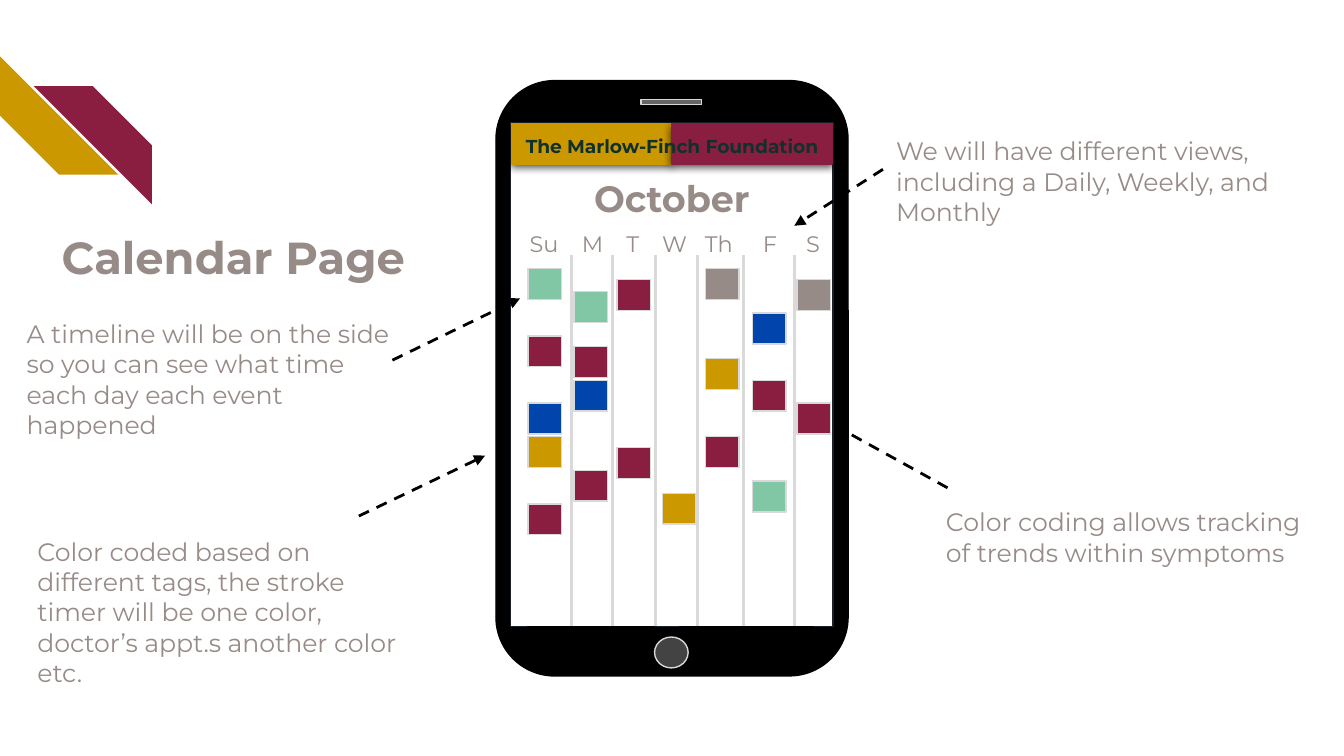
from typing import NamedTuple

from lxml import etree
from pptx import Presentation
from pptx import util as u
from pptx.dml.color import RGBColor
from pptx.enum import dml, shapes, text
from pptx.oxml.ns import qn

PX = 9144  # 100 px to the inch
FONT = "Montserrat"
COLORS = {
    "black": "000000", "white": "FFFFFF", "ink": "1B212C", "grey": "D9D9D9",
    "speaker": "666666", "button": "434343", "taupe": "978B87", "pine": "10312B",
    "gold": "CC9800", "wine": "8A1E41", "mint": "82C7A5", "blue": "0145AC",
}
FORMATS = {
    "title": {"size": u.Pt(24), "bold": True},
    "month": {"size": u.Pt(19.6), "bold": True},
    "days": {"size": u.Pt(12), "bold": False},
    "note": {"size": u.Pt(13.5), "bold": False},
    "brand": {"size": u.Pt(10), "bold": True},
}
# Day, label centre, event left, and events as (time slot, colour)
WEEK = [
    ("Su", 36, 24, [(0, "mint"), (6, "wine"), (12, "blue"), (15, "gold"), (21, "wine")]),
    ("M", 72, 58, [(2, "mint"), (7, "wine"), (10, "blue"), (18, "wine")]),
    ("T", 102, 90, [(1, "wine"), (16, "wine")]),
    ("W", 133, 124, [(20, "gold")]),
    ("Th", 166, 156, [(0, "taupe"), (8, "gold"), (15, "wine")]),
    ("F", 204, 191, [(4, "blue"), (10, "wine"), (19, "mint")]),
    ("S", 236, 224, [(1, "taupe"), (12, "wine")]),
]
DIVIDERS = [56, 87, 119, 150, 184, 222]
SLOT = 25 / 3
# Wording, text box, arrow start, arrow end
NOTES = [
    ("A timeline will be on the side so you can see what time each day each event happened",
     (10, 227, 302, 69), (292, 268), (387, 222)),
    ("We will have different views, including a Daily, Weekly, and Monthly",
     (657, 91, 302, 69), (657, 126), (591, 168)),
    ("Color coded based on different tags, the stroke timer will be one color, "
     "doctor’s appt.s another color etc.",
     (18, 389, 302, 69), (267, 384), (361, 339)),
    ("Color coding allows tracking of trends within symptoms",
     (694, 367, 302, 69), (705, 363), (620, 316)),
]


class Box(NamedTuple):
    left: int
    top: int
    width: int
    height: int

    def inside(self, left, top, width, height):
        return Box(self.left + left, self.top + top, width, height)

    def emu(self):
        return [length * PX for length in self]


def color(name):
    return RGBColor.from_string(COLORS[name])


def add_shape(page, kind, box, fill, line=None):
    shape = page.shapes.add_shape(kind, *box.emu())
    shape.shadow.inherit = False
    shape.fill.solid()
    shape.fill.fore_color.rgb = color(fill)
    if line:
        shape.line.color.rgb = color(line)
        shape.line.width = u.Pt(0.75)
    else:
        shape.line.fill.background()
    return shape


def add_text(page, box, wording, style, ink="taupe", align=text.PP_ALIGN.LEFT, tabs=()):
    frame = page.shapes.add_textbox(*box.emu()).text_frame
    layout = {"word_wrap": True, "vertical_anchor": text.MSO_ANCHOR.TOP}
    for side in ("left", "top", "right", "bottom"):
        layout[f"margin_{side}"] = 10 * PX
    for name, value in layout.items():
        setattr(frame, name, value)
    para = frame.paragraphs[0]
    para.alignment = align
    if tabs:
        stops = etree.SubElement(para._p.get_or_add_pPr(), qn("a:tabLst"))
        for stop in tabs:
            etree.SubElement(stops, qn("a:tab"), pos=str(stop * PX), algn="ctr")
    span = para.add_run()
    span.text = wording
    for name, value in {"name": FONT, **FORMATS[style]}.items():
        setattr(span.font, name, value)
    span.font.color.rgb = color(ink)


def add_line(page, start, end, ink):
    ends = [length * PX for length in (*start, *end)]
    line = page.shapes.add_connector(shapes.MSO_CONNECTOR.STRAIGHT, *ends)
    line.line.color.rgb = color(ink)
    line.line.width = u.Pt(1.5)
    etree.SubElement(line._element.spPr, qn("a:effectLst"))
    return line


def add_drop_shadow(shape):
    effects = shape._element.spPr.find(qn("a:effectLst"))
    shadow = etree.SubElement(effects, qn("a:outerShdw"), blurRad=str(u.Pt(4.5)),
                              dist=str(u.Pt(1.5)), dir="5400000", algn="bl", rotWithShape="0")
    tint = etree.SubElement(shadow, qn("a:srgbClr"), val=COLORS["black"])
    etree.SubElement(tint, qn("a:alpha"), val="71000")


def draw_stripes(page, box):
    stripe = shapes.MSO_SHAPE.DIAGONAL_STRIPE
    add_shape(page, stripe, box.inside(0, 0, 88, 88), "gold").rotation = 270
    mirrored = add_shape(page, stripe, box.inside(25, 22, 88, 88), "wine")
    mirrored._element.spPr.find(qn("a:xfrm")).set("flipH", "1")


def draw_phone(page, box):
    kinds = shapes.MSO_SHAPE
    add_shape(page, kinds.ROUNDED_RECTANGLE, box, "black", "black")
    add_shape(page, kinds.RECTANGLE, box.inside(11, 31, 240, 375), "white", "ink")
    add_shape(page, kinds.RECTANGLE, box.inside(108, 14, 45, 4), "speaker", "grey")
    add_shape(page, kinds.OVAL, box.inside(118, 414, 25, 23), "button", "grey")
    for left, width, height in ((24, 94, 12), (146, 90, 12), (137, 12, 5)):
        add_shape(page, kinds.RECTANGLE, box.inside(left, 406, width, height), "black", "black")
    for left, fill in ((12, "gold"), (131, "wine")):
        add_drop_shadow(add_shape(page, kinds.RECTANGLE, box.inside(left, 32, 119, 30), fill, fill))
    center = text.PP_ALIGN.CENTER
    add_text(page, box.inside(-2, 32, 266, 30), "The Marlow-Finch Foundation", "brand", "pine", center)
    add_text(page, box.inside(11, 61, 240, 47), "October", "month", align=center)


def draw_calendar(page, box):
    for x in DIVIDERS:
        left = box.left + x
        add_line(page, (left, box.top + 130), (left, box.top + 406), "grey")
    names = "".join("\t" + day for day, *_ in WEEK)
    add_text(page, box.inside(-20, 101, 302, 69), names, "days",
             tabs=[middle + 10 for _, middle, *_ in WEEK])
    for _, _, left, events in WEEK:
        for slot, fill in events:
            event = box.inside(left, 140 + round(slot * SLOT), 25, 23)
            add_shape(page, shapes.MSO_SHAPE.RECTANGLE, event, fill, "grey")


def draw_note(page, box, wording, start, end):
    add_text(page, box, wording, "note")
    arrow = add_line(page, start, end, "black")
    arrow.line.dash_style = dml.MSO_LINE.DASH
    etree.SubElement(arrow.line._get_or_add_ln(), qn("a:tailEnd"), type="triangle")


def main():
    deck = Presentation()
    deck.slide_width = 1000 * PX
    deck.slide_height = deck.slide_width * 9 // 16
    page = deck.slides.add_slide(deck.slide_layouts[6])
    phone = Box(369, 60, 262, 443)
    draw_stripes(page, Box(0, 42, 113, 110))
    add_text(page, Box(36, 161, 315, 100), "Calendar Page", "title")
    draw_phone(page, phone)
    draw_calendar(page, phone)
    for wording, box, start, end in NOTES:
        draw_note(page, Box(*box), wording, start, end)
    deck.save("out.pptx")


if __name__ == "__main__":
    main()
